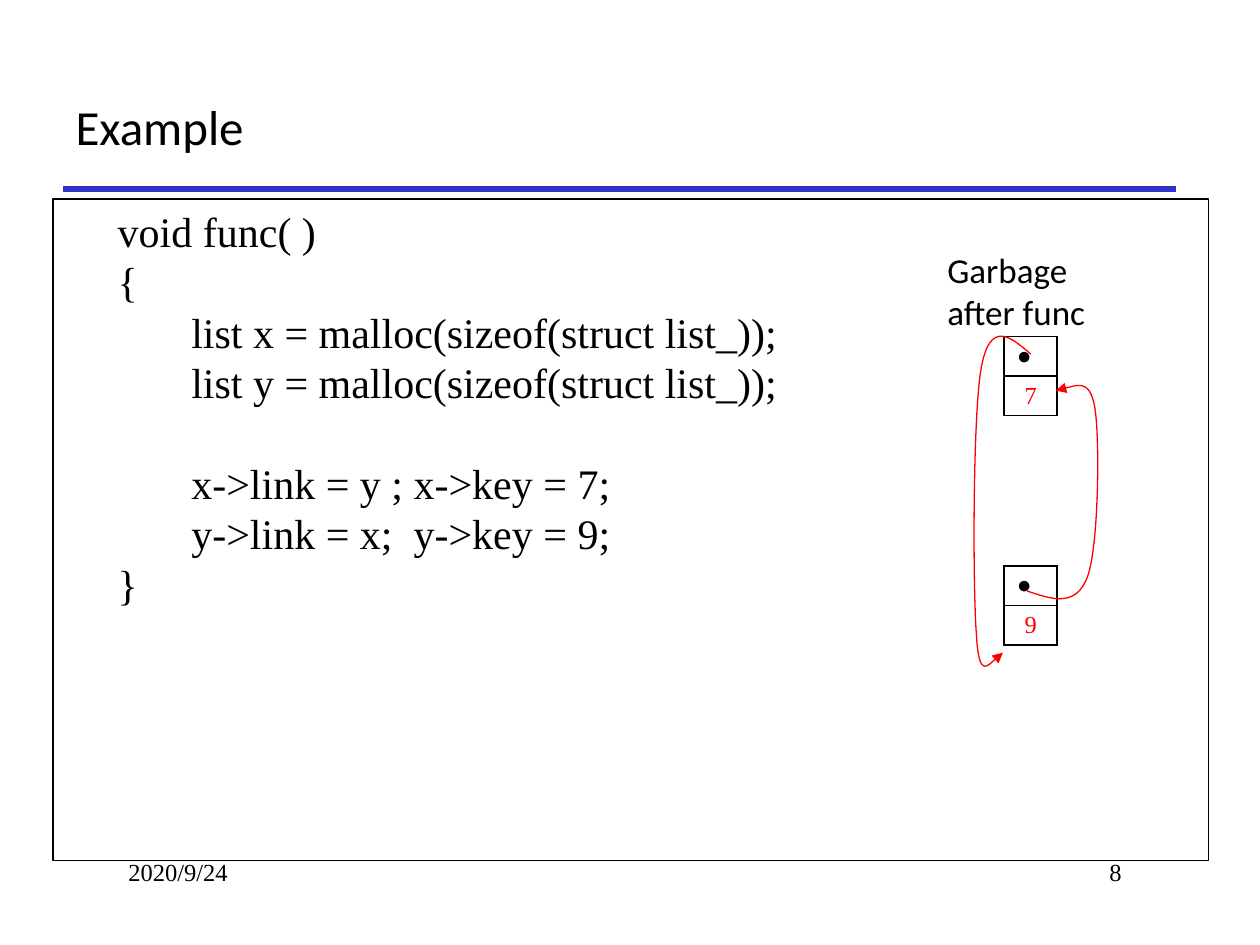
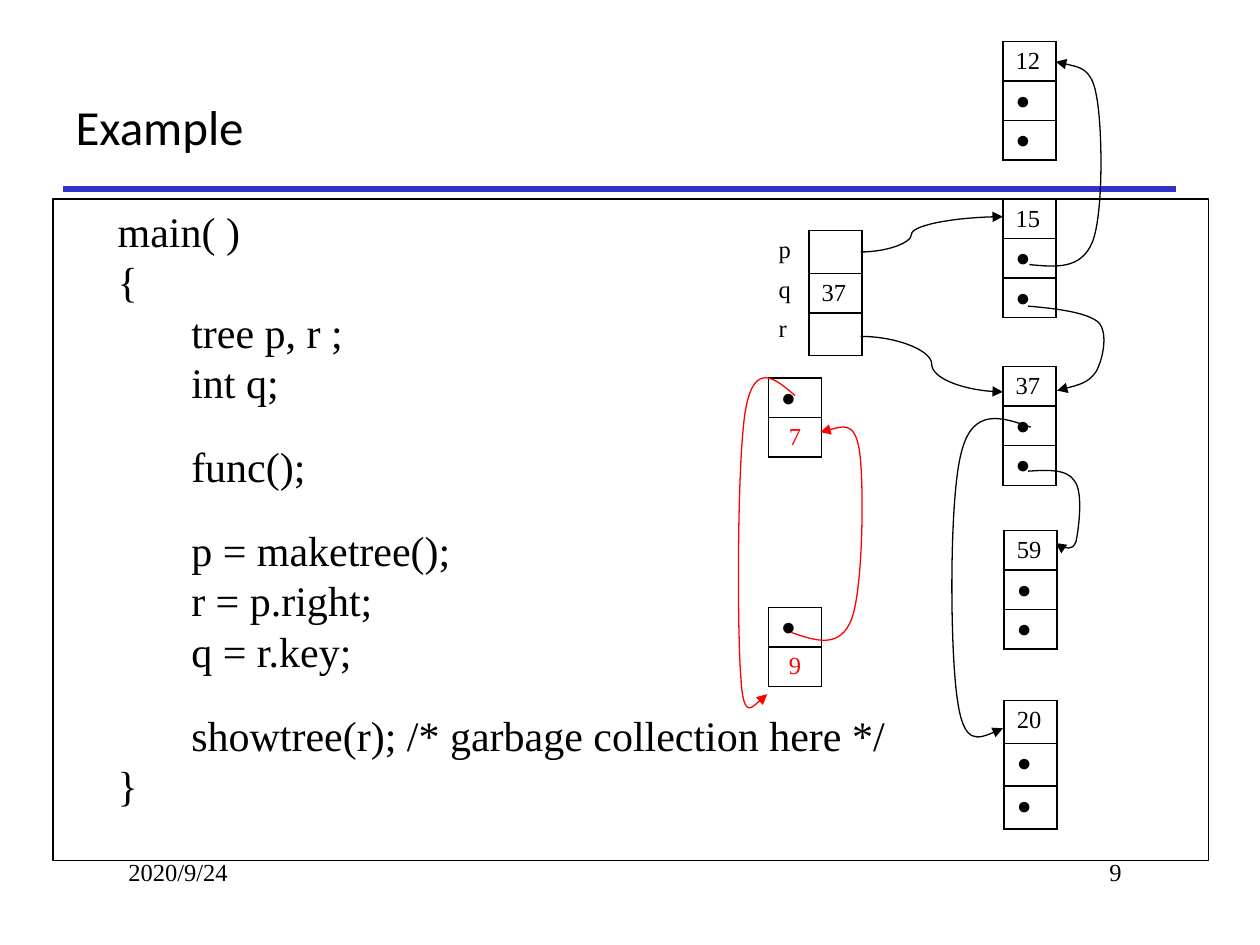
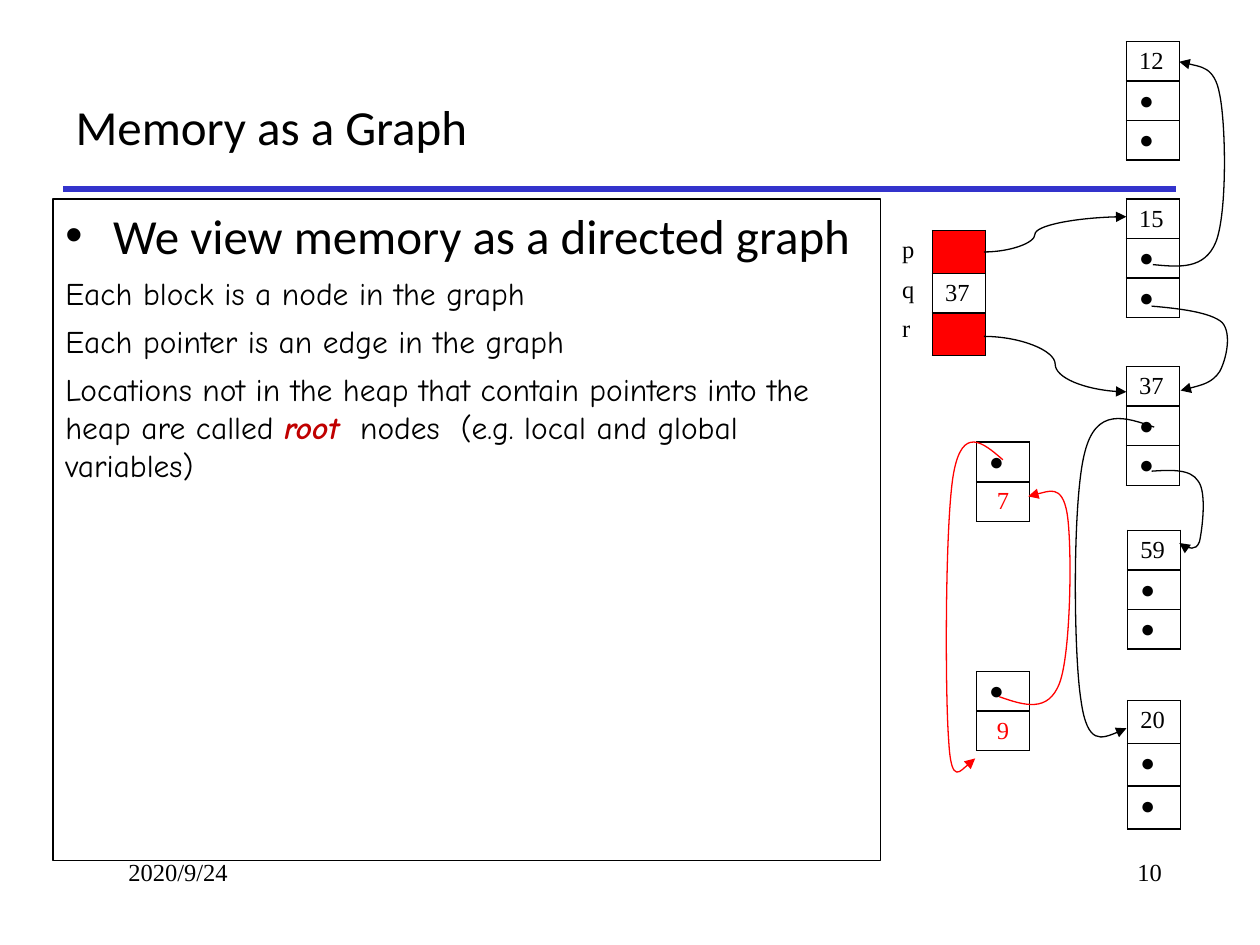
from dataclasses import dataclass
from itertools import islice

from lxml import etree
from pptx import Presentation
from pptx import util as u
from pptx.dml.color import RGBColor
from pptx.enum import shapes, text
from pptx.oxml.ns import qn

BLACK, RED, DARK_RED, BLUE = "000000", "FF0000", "C00000", "3333CC"
SERIF, SANS, COMIC = "Times New Roman", "Calibri", "Comic Neue"
DOT = "●"
BODY_LEFT, BODY_TOP, BODY_HEIGHT = 0.42, 1.58, 5.25
CELL_WIDTH = 0.42
EMPTY_ROW = 0.34
TREE_SHIFT = 0.98


@dataclass(frozen=True)
class Block:
    left: float
    top: float
    cells: tuple[str, ...]
    row: float = 0.28
    height: float = 1.0
    width: float = CELL_WIDTH
    bordered: bool = True


@dataclass(frozen=True)
class Curve:
    points: tuple[tuple[float, float], ...]


@dataclass(frozen=True)
class RootArrow:
    start: tuple[float, float]
    end: tuple[float, float]
    bend: int


@dataclass(frozen=True)
class CodeLine:
    code: str
    gap: float = 0


ROOTS = Block(6.42, 1.83, ("", "37", ""))
ROOT_NAMES = Block(6.08, 1.83, ("p", "q", "r"), width=0.33, bordered=False)
TREE_NODES = (
    Block(7.96, 0.33, ("12", DOT, DOT)),
    Block(7.96, 1.58, ("15", DOT, DOT)),
    Block(7.96, 2.91, ("37", DOT, DOT)),
    Block(7.97, 4.21, ("59", DOT, DOT)),
    Block(7.97, 5.56, ("20", DOT, DOT), row=0.34, height=1.03),
)
ROOT_ARROWS = (
    RootArrow((6.83, 2), (7.96, 1.72), 35800),
    RootArrow((6.83, 2.67), (7.96, 3.11), 50000),
)
TREE_CURVES = (
    Curve(((8.16, 2.43), (8.39, 2.45), (8.63, 2.48), (8.72, 2.56),
           (8.8, 2.65), (8.75, 2.86), (8.7, 2.95),
           (8.64, 3.04), (8.51, 3.07), (8.39, 3.1))),
    Curve(((8.17, 2.1), (8.38, 2.12), (8.58, 2.14), (8.67, 1.92),
           (8.76, 1.69), (8.75, 0.99), (8.7, 0.75),
           (8.66, 0.52), (8.38, 0.49), (8.38, 0.49))),
    Curve(((8.18, 3.39), (7.95, 3.31), (7.72, 3.23), (7.63, 3.59),
           (7.53, 3.96), (7.54, 5.19), (7.6, 5.56),
           (7.65, 5.92), (7.81, 5.85), (7.96, 5.78))),
    Curve(((8.16, 3.74), (8.31, 3.73), (8.47, 3.72), (8.53, 3.82),
           (8.6, 3.91), (8.56, 4.21), (8.54, 4.3),
           (8.51, 4.38), (8.37, 4.32), (8.37, 4.32),
           (8.35, 4.33), (8.37, 4.31), (8.37, 4.31),
           (8.37, 4.31), (8.38, 4.31), (8.38, 4.31))),
)
CYCLE_NODES = (
    Block(7.97, 2.67, (DOT, "7"), height=0.67),
    Block(7.97, 4.49, (DOT, "9"), height=0.67),
)
CYCLE_CURVES = (
    Curve(((8.15, 4.69), (8.35, 4.76), (8.54, 4.82), (8.63, 4.58),
           (8.72, 4.34), (8.73, 3.49), (8.69, 3.24),
           (8.65, 2.99), (8.38, 3.1), (8.38, 3.1))),
    Curve(((8.18, 2.81), (8.02, 2.67), (7.86, 2.54), (7.79, 2.91),
           (7.72, 3.28), (7.72, 4.66), (7.75, 5.04),
           (7.77, 5.41), (7.96, 5.18), (7.96, 5.18))),
)
FUNC_CODE = (
    CodeLine("     void func( )"),
    CodeLine("     {"),
    CodeLine("\tlist x = malloc(sizeof(struct list_));"),
    CodeLine("\tlist y = malloc(sizeof(struct list_));"),
    CodeLine("\tx->link = y ; x->key = 7;", gap=28.8),
    CodeLine("\ty->link = x;  y->key = 9;"),
    CodeLine("     }"),
)
MAIN_CODE = (
    CodeLine("     main( )"),
    CodeLine("     {"),
    CodeLine("\ttree p, r ;"),
    CodeLine("\tint q;"),
    CodeLine("\tfunc();", gap=19.2),
    CodeLine("\tp = maketree();", gap=19.2),
    CodeLine("\tr = p.right;"),
    CodeLine("\tq = r.key;"),
    CodeLine("\tshowtree(r); /* garbage collection here */", gap=19.2),
    CodeLine("     }"),
)


def rgb(color: str) -> RGBColor:
    return RGBColor.from_string(color)


def write(paragraph, content: str, *, size: float = 14, font: str = SERIF,
          color: str = BLACK, bold: bool = False, italic: bool = False,
          align=text.PP_ALIGN.LEFT, before: float = 0,
          spacing: float | None = None) -> None:
    paragraph.alignment = align
    if before:
        paragraph.space_before = u.Pt(before)
    if spacing:
        paragraph.line_spacing = u.Pt(spacing)
    run = paragraph.add_run()
    run.text = content
    run.font.size = u.Pt(size)
    run.font.name = font
    run.font.bold = bold
    run.font.italic = italic
    run.font.color.rgb = rgb(color)


def add_label(slide, content: str, left: float, top: float, width: float,
              height: float, *, wrap: bool = True, **style) -> None:
    box = slide.shapes.add_textbox(*map(u.Inches, (left, top, width, height)))
    frame = box.text_frame
    frame.word_wrap = wrap
    for index, line in enumerate(content.split("\n")):
        paragraph = frame.add_paragraph() if index else frame.paragraphs[0]
        write(paragraph, line, **style)


def style_line(line, color: str, width: float) -> None:
    line.color.rgb = rgb(color)
    line.width = u.Pt(width)


def add_arrowhead(shape) -> None:
    outline = shape.element.find(".//" + qn("a:ln"))
    etree.SubElement(outline, qn("a:tailEnd"), type="triangle")


def add_connector(slide, kind, start: tuple[float, float],
                  end: tuple[float, float], color: str, width: float):
    connector = slide.shapes.add_connector(kind, *map(u.Inches, (*start, *end)))
    style_line(connector.line, color, width)
    properties = connector.element.find(qn("p:spPr"))
    etree.SubElement(properties, qn("a:effectLst"))
    return connector


def start_slide(presentation, title: str, number: int,
                number_left: float = 7.58):
    slide = presentation.slides.add_slide(presentation.slide_layouts[5])
    heading = slide.shapes.title
    heading.left, heading.top = u.Inches(0.5), u.Inches(0.5)
    heading.width, heading.height = u.Inches(8.83), u.Inches(1)
    heading.text_frame.vertical_anchor = text.MSO_ANCHOR.MIDDLE
    write(heading.text_frame.paragraphs[0], title, size=28, font=SANS)
    add_connector(slide, shapes.MSO_CONNECTOR.STRAIGHT,
                  (0.5, 1.5), (9.33, 1.5), BLUE, 3)
    add_label(slide, "2020/9/24", 0.92, 6.75, 1.67, 0.5)
    add_label(slide, str(number), number_left, 6.75, 1.42, 0.5,
              align=text.PP_ALIGN.RIGHT)
    return slide


def add_body(slide, width: float = 9.17):
    body = slide.shapes.add_shape(
        shapes.MSO_SHAPE.RECTANGLE,
        *map(u.Inches, (BODY_LEFT, BODY_TOP, width, BODY_HEIGHT)))
    body.shadow.inherit = False
    body.fill.background()
    style_line(body.line, BLACK, 0.75)
    frame = body.text_frame
    frame.word_wrap = True
    frame.vertical_anchor = text.MSO_ANCHOR.TOP
    return frame


def add_code(slide, lines: tuple[CodeLine, ...]) -> None:
    frame = add_body(slide)
    for index, line in enumerate(lines):
        paragraph = frame.add_paragraph() if index else frame.paragraphs[0]
        tabs = etree.SubElement(paragraph._p.get_or_add_pPr(), qn("a:tabLst"))
        etree.SubElement(tabs, qn("a:tab"), pos=str(u.Inches(1)), algn="l")
        write(paragraph, line.code, size=24, before=line.gap, spacing=28.8)


def set_borders(cell, visible: bool) -> None:
    properties = cell._tc.get_or_add_tcPr()
    for side in ("lnL", "lnR", "lnT", "lnB"):
        border = etree.SubElement(properties, qn(f"a:{side}"), w=str(u.Pt(1)))
        if visible:
            fill = etree.SubElement(border, qn("a:solidFill"))
            etree.SubElement(fill, qn("a:srgbClr"), val=BLACK)
        else:
            etree.SubElement(border, qn("a:noFill"))


def add_block(slide, block: Block, dx: float = 0, dy: float = 0,
              key_color: str = BLACK, empty_fill: str | None = None,
              key_align=text.PP_ALIGN.LEFT) -> None:
    frame = slide.shapes.add_table(
        len(block.cells), 1, u.Inches(block.left + dx),
        u.Inches(block.top + dy), u.Inches(block.width), u.Inches(block.height))
    table = frame.table
    table.first_row = table.horz_banding = False
    for index, content in enumerate(block.cells):
        table.rows[index].height = u.Inches(block.row if content else EMPTY_ROW)
        cell = table.cell(index, 0)
        cell.margin_bottom = u.Inches(0.03)
        set_borders(cell, block.bordered)
        paragraph = cell.text_frame.paragraphs[0]
        if content == DOT:
            write(paragraph, content)
        elif content:
            write(paragraph, content, color=key_color, align=key_align)
        else:
            etree.SubElement(paragraph._p, qn("a:endParaRPr"), sz="1400")
        if empty_fill and not content:
            cell.fill.solid()
            cell.fill.fore_color.rgb = rgb(empty_fill)
        else:
            cell.fill.background()
    frame.height = u.Inches(block.height)


def add_curve(slide, curve: Curve, color: str, dx: float = 0,
              dy: float = 0) -> None:
    start, *controls = [(u.Inches(x + dx), u.Inches(y + dy))
                        for x, y in curve.points]
    builder = slide.shapes.build_freeform(*start)
    builder.add_line_segments(controls, close=False)
    shape = builder.convert_to_shape()
    outline = shape.element.find(".//" + qn("a:path"))
    segments = iter(outline.findall(qn("a:lnTo")))
    while triple := list(islice(segments, 3)):
        bezier = etree.SubElement(outline, qn("a:cubicBezTo"))
        for segment in triple:
            bezier.append(segment[0])
            outline.remove(segment)
    shape.shadow.inherit = False
    shape.fill.background()
    style_line(shape.line, color, 0.75)
    add_arrowhead(shape)


def add_root_arrow(slide, arrow: RootArrow, dx: float) -> None:
    (x1, y1), (x2, y2) = arrow.start, arrow.end
    connector = add_connector(slide, shapes.MSO_CONNECTOR.CURVE,
                              (x1 + dx, y1), (x2 + dx, y2), BLACK, 0.75)
    adjustments = connector.element.find(".//" + qn("a:avLst"))
    etree.SubElement(adjustments, qn("a:gd"), name="adj1",
                     fmla=f"val {arrow.bend}")
    add_arrowhead(connector)


def add_tree(slide, dx: float = 0, root_fill: str | None = None) -> None:
    add_block(slide, ROOTS, dx, empty_fill=root_fill)
    add_block(slide, ROOT_NAMES, dx)
    for node in TREE_NODES:
        add_block(slide, node, dx)
    for arrow in ROOT_ARROWS:
        add_root_arrow(slide, arrow, dx)
    for curve in TREE_CURVES:
        add_curve(slide, curve, BLACK, dx)


def add_cycle(slide, dx: float = 0, dy: float = 0) -> None:
    for node in CYCLE_NODES:
        add_block(slide, node, dx, dy, key_color=RED,
                  key_align=text.PP_ALIGN.CENTER)
    for curve in CYCLE_CURVES:
        add_curve(slide, curve, RED, dx, dy)


def add_graph_notes(slide) -> None:
    frame = add_body(slide, 6.57)
    heading = frame.paragraphs[0]
    properties = heading._p.get_or_add_pPr()
    properties.set("marL", str(u.Inches(0.38)))
    properties.set("indent", str(-u.Inches(0.38)))
    etree.SubElement(properties, qn("a:buFont"), typeface="Arial")
    etree.SubElement(properties, qn("a:buChar"), char="•")
    write(heading, "We view memory as a directed graph", size=28, font=SANS)
    note_style = dict(size=18, font=COMIC, before=5.6, spacing=21.7)
    for note in (
        "Each block is a node in the graph",
        "Each pointer is an edge in the graph",
        "Locations not in the heap that contain pointers into the heap are called ",
    ):
        paragraph = frame.add_paragraph()
        write(paragraph, note, **note_style)
    write(paragraph, "root", color=DARK_RED, bold=True, italic=True, **note_style)
    write(paragraph, "  nodes  (e.g. local and global variables)", **note_style)


def main() -> None:
    presentation = Presentation()
    presentation.slide_width = u.Inches(10)
    presentation.slide_height = u.Inches(7.5)

    func_slide = start_slide(presentation, "Example", 8)
    add_code(func_slide, FUNC_CODE)
    add_cycle(func_slide)
    add_label(func_slide, "Garbage\nafter func", 7.42, 1.92, 1.39, 0.77,
              wrap=False, size=20, font=SANS)

    main_slide = start_slide(presentation, "Example", 9)
    add_code(main_slide, MAIN_CODE)
    add_tree(main_slide)
    add_cycle(main_slide, -1.87, 0.33)

    graph_slide = start_slide(presentation, "Memory as a Graph", 10, 7.9)
    add_graph_notes(graph_slide)
    add_tree(graph_slide, TREE_SHIFT, RED)
    add_cycle(graph_slide, -0.22, 0.84)

    presentation.save("out.pptx")


if __name__ == "__main__":
    main()
